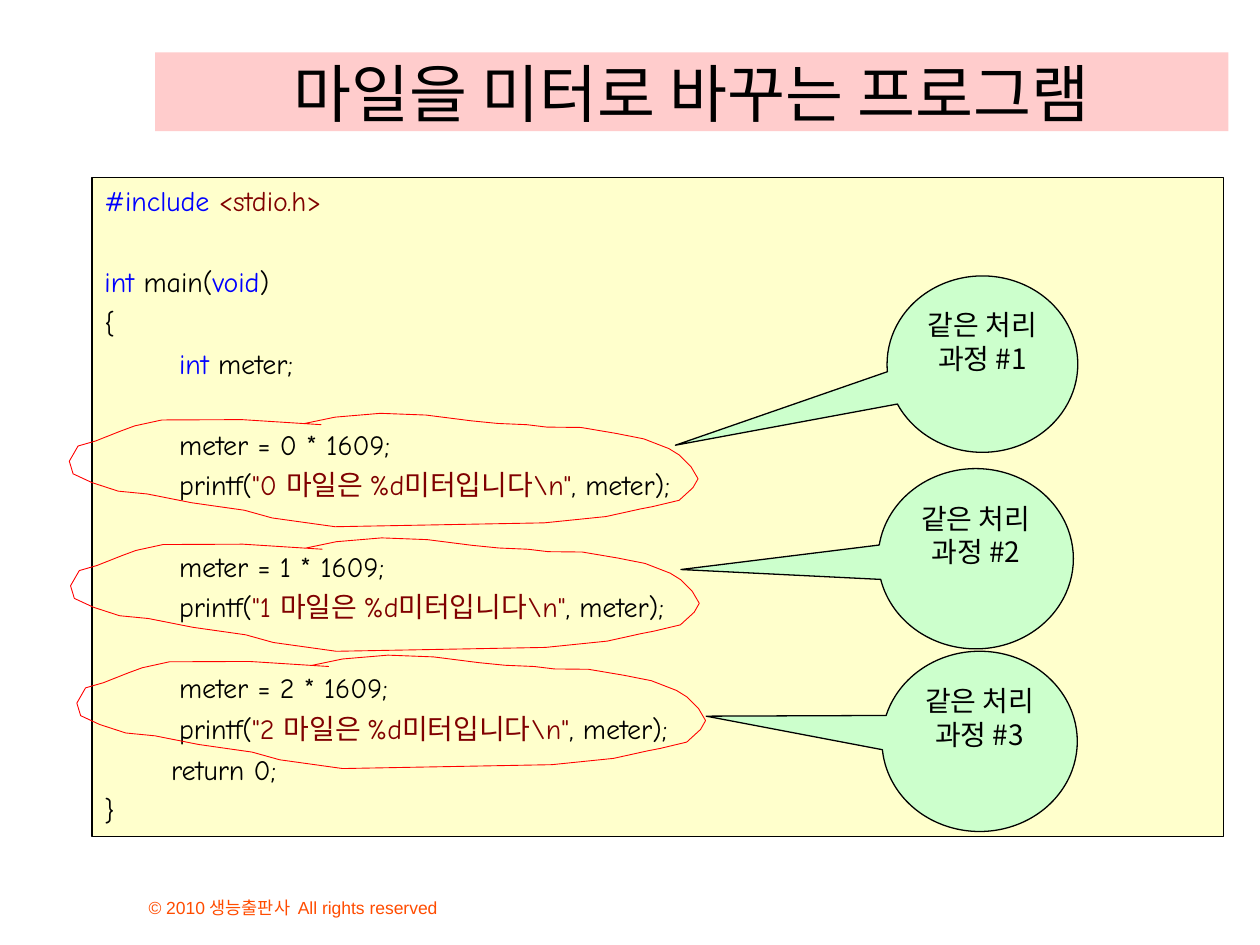
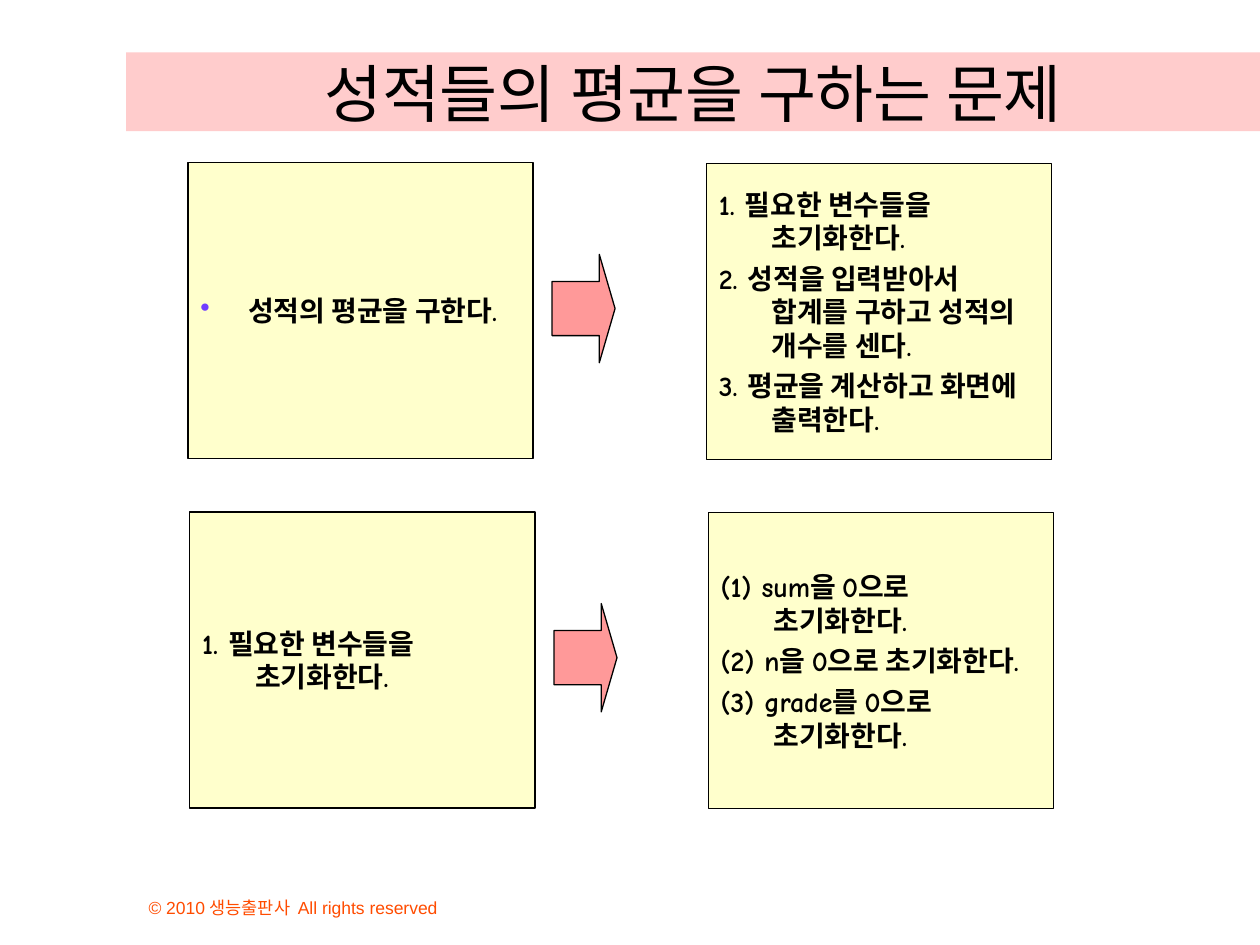
from dataclasses import dataclass

from lxml.etree import SubElement
from pptx import Presentation
from pptx.dml.color import RGBColor
from pptx.enum.shapes import MSO_SHAPE
from pptx.enum.text import MSO_ANCHOR, PP_ALIGN
from pptx.oxml.ns import qn
from pptx.util import Pt


@dataclass(frozen=True)
class Theme:
    black: str = "000000"
    keyword: str = "0000FF"
    literal: str = "800000"
    title_band: str = "FFCCCC"
    panel: str = "FFFFCC"
    callout: str = "CCFFCC"
    arrow: str = "FF9999"
    loop: str = "FF0000"
    bullet: str = "703DFF"
    copyright: str = "FF4C00"
    latin: str = "Comic Neue"
    korean: str = "Noto Sans CJK KR"
    footer_font: str = "Arial"
    title_size: float = 36
    body_size: float = 16
    footer_size: float = 10
    outline: float = 0.75
    loop_outline: float = 0.5


theme = Theme()


def write_text(shape, paragraphs, size=theme.body_size, font=theme.latin, color=theme.black,
               bold=False, align=PP_ALIGN.LEFT, anchor=MSO_ANCHOR.TOP, hang=0,
               gaps=None, bullet=None):
    """Fill a shape; a paragraph is a string or a list of (text, colour) runs."""
    frame = shape.text_frame
    frame.word_wrap = True
    frame.vertical_anchor = anchor
    frame.margin_left = frame.margin_right = Pt(7.2)
    frame.margin_top = frame.margin_bottom = Pt(3.6)
    for index, content in enumerate(paragraphs):
        paragraph = frame.paragraphs[0] if index == 0 else frame.add_paragraph()
        paragraph.alignment = align
        paragraph.line_spacing = Pt(size * 1.2)
        paragraph.space_before = Pt(gaps[index] if gaps else 4 if index else 0)
        properties = paragraph._p.get_or_add_pPr()
        properties.set("marL", str(Pt(hang)))
        properties.set("indent", str(-Pt(hang)))
        if bullet:
            bullet_color = SubElement(properties, qn("a:buClr"))
            SubElement(bullet_color, qn("a:srgbClr"), val=theme.bullet)
            SubElement(properties, qn("a:buChar"), char=bullet)
        else:
            SubElement(properties, qn("a:buNone"))
        for text, run_color in [(content, color)] if isinstance(content, str) else content:
            run = paragraph.add_run()
            run.text = text
            run.font.size = Pt(size)
            run.font.bold = bold
            run.font.name = font
            run.font.color.rgb = RGBColor.from_string(run_color)
            SubElement(run._r.get_or_add_rPr(), qn("a:ea"), typeface=theme.korean)


def add_outlined(slide, kind, left, top, width, height, fill):
    shape = slide.shapes.add_shape(kind, Pt(left), Pt(top), Pt(width), Pt(height))
    shape.shadow.inherit = False
    shape.fill.solid()
    shape.fill.fore_color.rgb = RGBColor.from_string(fill)
    shape.line.color.rgb = RGBColor.from_string(theme.black)
    shape.line.width = Pt(theme.outline)
    return shape


deck = Presentation()
deck.slide_width, deck.slide_height = Pt(720), Pt(540)

# Title bands and copyright lines
slides = []
for heading, band_left, band_width in [
    ("마일을 미터로 바꾸는 프로그램", 88.6, 613.4),
    ("성적들의 평균을 구하는 문제", 72, 648),
]:
    slide = deck.slides.add_slide(deck.slide_layouts[5])
    slides.append(slide)
    title = slide.shapes.title
    title.left, title.top = Pt(band_left), Pt(30)
    title.width, title.height = Pt(band_width), Pt(45)
    title.fill.solid()
    title.fill.fore_color.rgb = RGBColor.from_string(theme.title_band)
    write_text(title, [heading], size=theme.title_size, align=PP_ALIGN.CENTER,
               anchor=MSO_ANCHOR.BOTTOM)
    title.text_frame.margin_bottom = Pt(0.4)

    rights = slide.shapes.add_textbox(Pt(77.8), Pt(498.2), Pt(275.8), Pt(30.2))
    write_text(rights, ["© 2010 생능출판사  All rights reserved"], size=theme.footer_size,
               font=theme.footer_font, color=theme.copyright, anchor=MSO_ANCHOR.BOTTOM)

program_slide, average_slide = slides

# Program listing: (space before, runs) for each line
LINE_GAP, BLOCK_GAP = 4, 27.2
listing = [
    (0, [("#include ", theme.keyword), ("<stdio.h>", theme.literal)]),
    (BLOCK_GAP, [("int", theme.keyword), (" main(", theme.black),
                 ("void", theme.keyword), (")", theme.black)]),
    (LINE_GAP, "{"),
    (LINE_GAP, [("        ", theme.black), ("int", theme.keyword), (" meter;", theme.black)]),
]
for miles in range(3):
    listing += [
        (BLOCK_GAP, f"        meter = {miles} * 1609;"),
        (LINE_GAP, [("        printf(", theme.black),
                    (f'"{miles} 마일은 %d미터입니다\\n"', theme.literal),
                    (", meter);", theme.black)]),
    ]
listing += [(LINE_GAP, "\t  return 0;"), (LINE_GAP, "}")]

code_panel = add_outlined(program_slide, MSO_SHAPE.RECTANGLE, 52.6, 101.5, 646.6, 376.6, theme.panel)
write_text(code_panel, [line for _, line in listing], hang=27.4, gaps=[gap for gap, _ in listing])

# Callouts naming the repeated steps
for number, (left, top, width, height, tip_x, tip_y) in enumerate([
    (506.9, 157.7, 109, 100.8, -1.61, 0.46),
    (501.8, 267.8, 111.6, 103, -1.51, 0.06),
    (504, 372.2, 111.6, 103, -1.4, -0.14),
], start=1):
    step = add_outlined(program_slide, MSO_SHAPE.OVAL_CALLOUT, left, top, width, height, theme.callout)
    step.adjustments[0], step.adjustments[1] = tip_x, tip_y
    write_text(step, [f"같은 처리 과정 #{number}"], font=theme.korean, align=PP_ALIGN.CENTER)

# Hand-drawn loops around the repeated statements
loop_outline = [
    (144, 6.5), (98.6, 3.6), (52.9, 3.8), (37.4, 7.2), (29.5, 10.1), (15.1, 15.8),
    (5, 18.7), (0, 27.4), (2.2, 34.6), (13, 39.6), (28, 44.5), (44.6, 46.1),
    (69.8, 51.1), (100.1, 55.4), (115.9, 59.8), (151.9, 64.8), (271.4, 62.6),
    (306.7, 59), (326.2, 54.7), (333.4, 53.3), (348.5, 49.7), (356.4, 42.5),
    (359.3, 37.4), (355.2, 30.4), (348.5, 23.8), (342.7, 20.2), (328.3, 14.6),
    (312.5, 11.5), (292.4, 8.1), (272.9, 7.9), (261.4, 6.5), (244.8, 5.8),
    (229.7, 4.3), (203.8, 1), (177.8, 0), (151.9, 2.2), (134.6, 5.8),
]
for left, top in [(39.6, 236.2), (40.3, 307.4), (43.9, 374.4)]:
    start, *rest = [(Pt(left + x), Pt(top + y)) for x, y in loop_outline]
    builder = program_slide.shapes.build_freeform(*start)
    builder.add_line_segments(rest, close=False)
    loop = builder.convert_to_shape()
    loop.shadow.inherit = False
    loop.fill.background()
    loop.line.color.rgb = RGBColor.from_string(theme.loop)
    loop.line.width = Pt(theme.loop_outline)

# Refinement rows: a task, an arrow and its finer steps
for row, (task, bullet, hang, steps) in enumerate([
    ("성적의 평균을 구한다.", "•", 27.4,
     ["1. 필요한 변수들을 초기화한다.",
      "2. 성적을 입력받아서 합계를 구하고 성적의 개수를 센다.",
      "3. 평균을 계산하고 화면에 출력한다."]),
    ("1. 필요한 변수들을 초기화한다.", None, 30.2,
     ["(1) sum을 0으로 초기화한다.",
      "(2) n을 0으로 초기화한다.",
      "(3) grade를 0으로 초기화한다."]),
]):
    shift, top = row * 1.1, 93 + row * 199.5
    task_panel = add_outlined(average_slide, MSO_SHAPE.RECTANGLE, 107.4 + shift, top,
                              197.3, 169.2, theme.panel)
    write_text(task_panel, [task], bold=True, anchor=MSO_ANCHOR.MIDDLE, hang=hang, bullet=bullet)

    arrow = add_outlined(average_slide, MSO_SHAPE.RIGHT_ARROW, 315.5 + shift, top + 52.4,
                         36, 61.9, theme.arrow)
    arrow.adjustments[0], arrow.adjustments[1] = 0.5, 0.25

    steps_panel = add_outlined(average_slide, MSO_SHAPE.RECTANGLE, 403.7 + shift, top + 0.5,
                               197.3, 169.2, theme.panel)
    write_text(steps_panel, steps, bold=True, anchor=MSO_ANCHOR.MIDDLE, hang=30.2)

deck.save("out.pptx")
